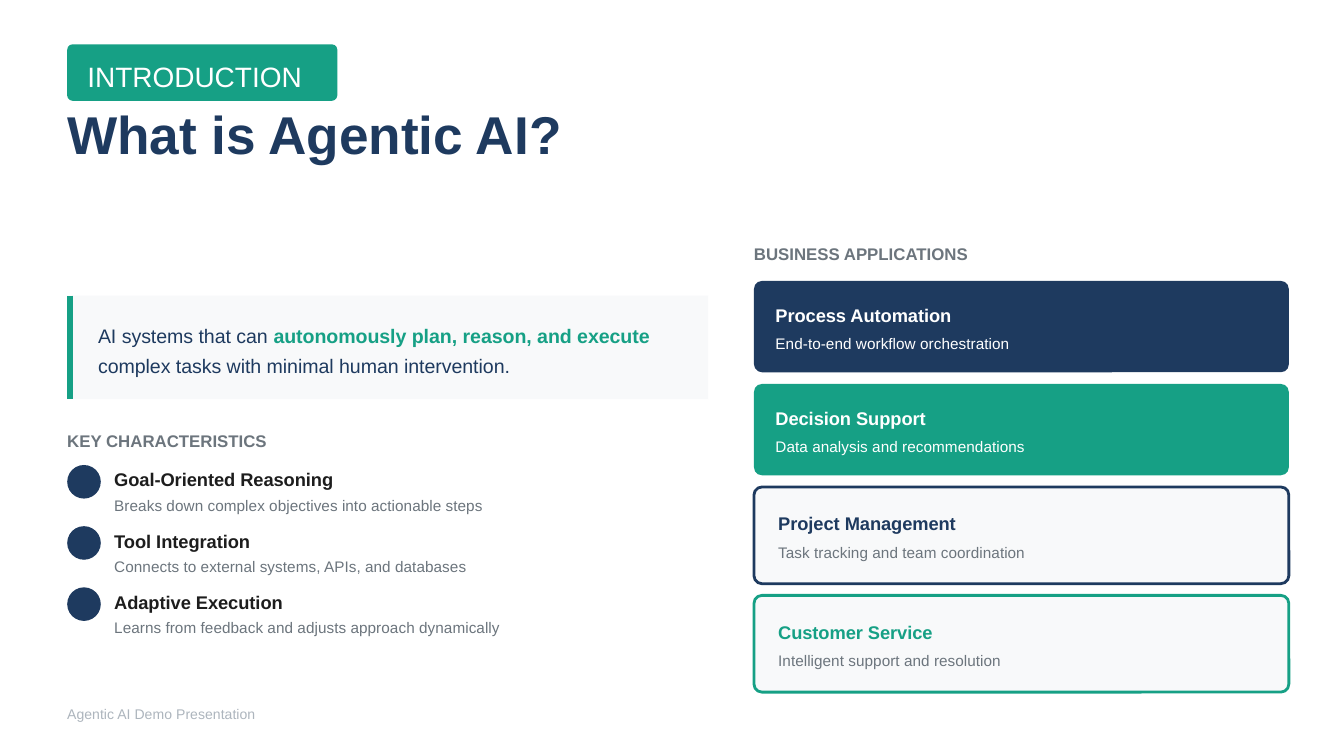
"""Builds the "What is Agentic AI?" introduction slide."""
from pptx import Presentation
from pptx import util as u
from pptx.dml.color import RGBColor
from pptx.enum import shapes, text

FONT = "Arial"
COLORS = {
    "navy": "1E3A5F", "teal": "16A085", "pale": "F8F9FA", "white": "FFFFFF",
    "gray": "6C757D", "ink": "1D1D1D", "muted": "ADB5BD",
}
TITLE = "What is Agentic AI?"
DEFINITION = [
    ("AI systems that can ", "navy", False),
    ("autonomously plan, reason, and execute", "teal", True),
    (" complex tasks with minimal human intervention.", "navy", False),
]
CHARACTERISTICS = [
    ("Goal-Oriented Reasoning", "Breaks down complex objectives into actionable steps"),
    ("Tool Integration", "Connects to external systems, APIs, and databases"),
    ("Adaptive Execution", "Learns from feedback and adjusts approach dynamically"),
]
APPLICATIONS = [
    ("Process Automation", "End-to-end workflow orchestration", "navy", None, "white", "white"),
    ("Decision Support", "Data analysis and recommendations", "teal", None, "white", "white"),
    ("Project Management", "Task tracking and team coordination", "pale", "navy", "navy", "gray"),
    ("Customer Service", "Intelligent support and resolution", "pale", "teal", "teal", "gray"),
]
LEFT, RIGHT = 0.5, 5.61
ITEM_TOP, ITEM_BOTTOM, DOT = 3.46, 4.37, 0.25
CARD_TOP, CARD_BOTTOM, CARD_WIDTH, CARD_RADIUS = 2.09, 5.15, 3.98, 0.06
CARD_HEIGHT, EDGE = 0.68, 0.02


def rgb(name):
    return RGBColor.from_string(COLORS[name])


def write(sp, box, runs, size, leading):
    sp.left, sp.top, sp.width, sp.height = map(u.Inches, box)
    tf = sp.text_frame
    tf.word_wrap = True
    tf.auto_size = text.MSO_AUTO_SIZE.NONE
    tf.vertical_anchor = text.MSO_ANCHOR.TOP
    tf.margin_left = tf.margin_top = tf.margin_right = tf.margin_bottom = 0
    p = tf.paragraphs[0]
    p.alignment = text.PP_ALIGN.LEFT
    p.line_spacing = u.Pt(leading)
    for content, color, bold in runs:
        r = p.add_run()
        r.text = content
        r.font.name, r.font.size, r.font.bold = FONT, u.Pt(size), bold
        r.font.color.rgb = rgb(color)


def add_text(s, box, runs, size, leading):
    write(s.shapes.add_textbox(0, 0, 0, 0), box, runs, size, leading)


def add_panel(s, box, fill, radius=0, outline=None):
    kind = shapes.MSO_SHAPE.ROUNDED_RECTANGLE if radius else shapes.MSO_SHAPE.RECTANGLE
    sp = s.shapes.add_shape(kind, *map(u.Inches, box))
    sp.shadow.inherit = False
    sp.fill.solid()
    sp.fill.fore_color.rgb = rgb(fill)
    if radius:
        sp.adjustments[0] = radius / min(box[2:])
    if outline:
        sp.line.color.rgb = rgb(outline)
        sp.line.width = u.Pt(1.5)
    else:
        sp.line.fill.background()


def add_pair(s, x, y, width, step, name, description, name_color, description_color):
    add_text(s, (x, y, width, 0.19), [(name, name_color, True)], 9.75, 13.65)
    add_text(s, (x, y + step, width, 0.16), [(description, description_color, False)], 8.25, 11.55)


def add_definition(s):
    add_panel(s, (LEFT, 2.2, 4.77, 0.77), "pale")
    bar = s.shapes.add_connector(
        shapes.MSO_CONNECTOR.STRAIGHT, *map(u.Inches, (0.52, 2.2, 0.52, 2.97)))
    bar.line.color.rgb = rgb("teal")
    bar.line.width = u.Pt(3)
    sp_pr = bar._element.spPr
    sp_pr.append(sp_pr.makeelement(
        "{http://schemas.openxmlformats.org/drawingml/2006/main}effectLst", {}))
    add_text(s, (0.73, 2.37, 4.44, 0.44), DEFINITION, 10.5, 15.75)


def add_characteristics(s):
    add_text(s, (LEFT, 3.18, 4.87, 0.17), [("KEY CHARACTERISTICS", "gray", True)], 9, 12.6)
    pitch = (ITEM_BOTTOM - ITEM_TOP) / (len(CHARACTERISTICS) - 1)
    for i, (name, description) in enumerate(CHARACTERISTICS):
        y = ITEM_TOP + i * pitch
        add_panel(s, (LEFT, y, DOT, DOT), "navy", DOT / 2)
        add_pair(s, LEFT + 0.35, y, 2.92, 0.21, name, description, "ink", "gray")


def add_applications(s):
    add_text(s, (RIGHT, 1.79, 4.06, 0.17), [("BUSINESS APPLICATIONS", "gray", True)], 9, 12.6)
    edges = [EDGE if card[3] else 0 for card in APPLICATIONS]
    heights = [CARD_HEIGHT + 2 * edge for edge in edges]
    gap = (CARD_BOTTOM - CARD_TOP - sum(heights)) / (len(APPLICATIONS) - 1)
    y = CARD_TOP
    for card, edge, height in zip(APPLICATIONS, edges, heights):
        name, description, fill, outline, name_color, description_color = card
        pad = 0.16 + edge
        add_panel(s, (RIGHT, y, CARD_WIDTH, height), fill, CARD_RADIUS, outline)
        add_pair(s, RIGHT + pad, y + (height - 0.39) / 2, CARD_WIDTH - 2 * pad, 0.23,
                 name, description, name_color, description_color)
        y += height + gap


def main():
    prs = Presentation()
    prs.slide_width = u.Inches(10)
    prs.slide_height = prs.slide_width * 9 // 16
    s = prs.slides.add_slide(prs.slide_layouts[5])
    add_panel(s, (LEFT, 0.33, 2.01, 0.42), "teal", 0.04)
    add_text(s, (0.65, 0.4, 1.76, 0.29), [("INTRODUCTION", "white", False)], 15, 21)
    write(s.shapes.title, (LEFT, 0.83, 4.64, 0.4), [(TITLE, "navy", True)], 28.5, 28.5)
    add_definition(s)
    add_characteristics(s)
    add_applications(s)
    add_text(s, (LEFT, 5.23, 9.27, 0.15),
             [("Agentic AI Demo Presentation", "muted", False)], 7.5, 10.5)
    prs.save("out.pptx")


if __name__ == "__main__":
    main()
